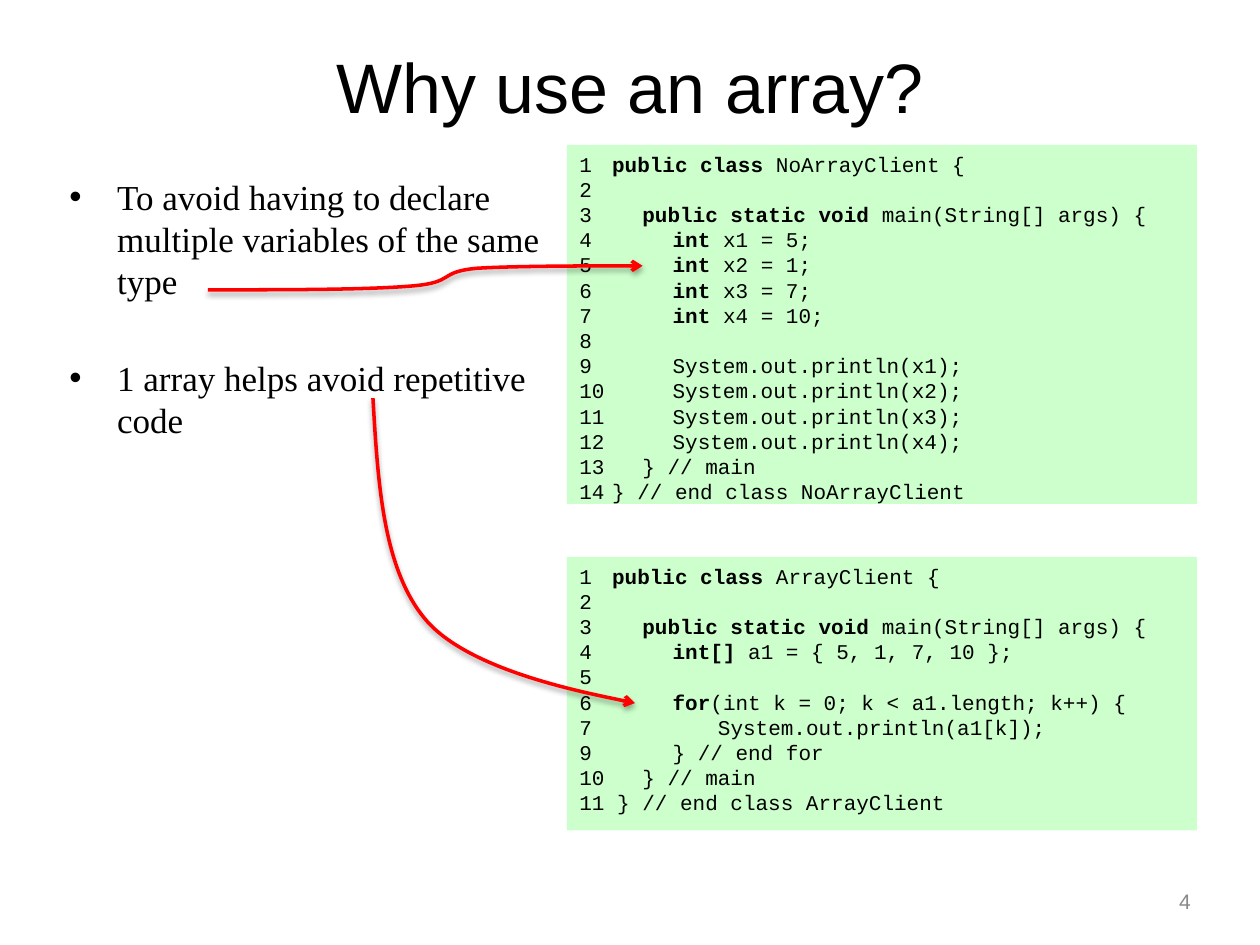
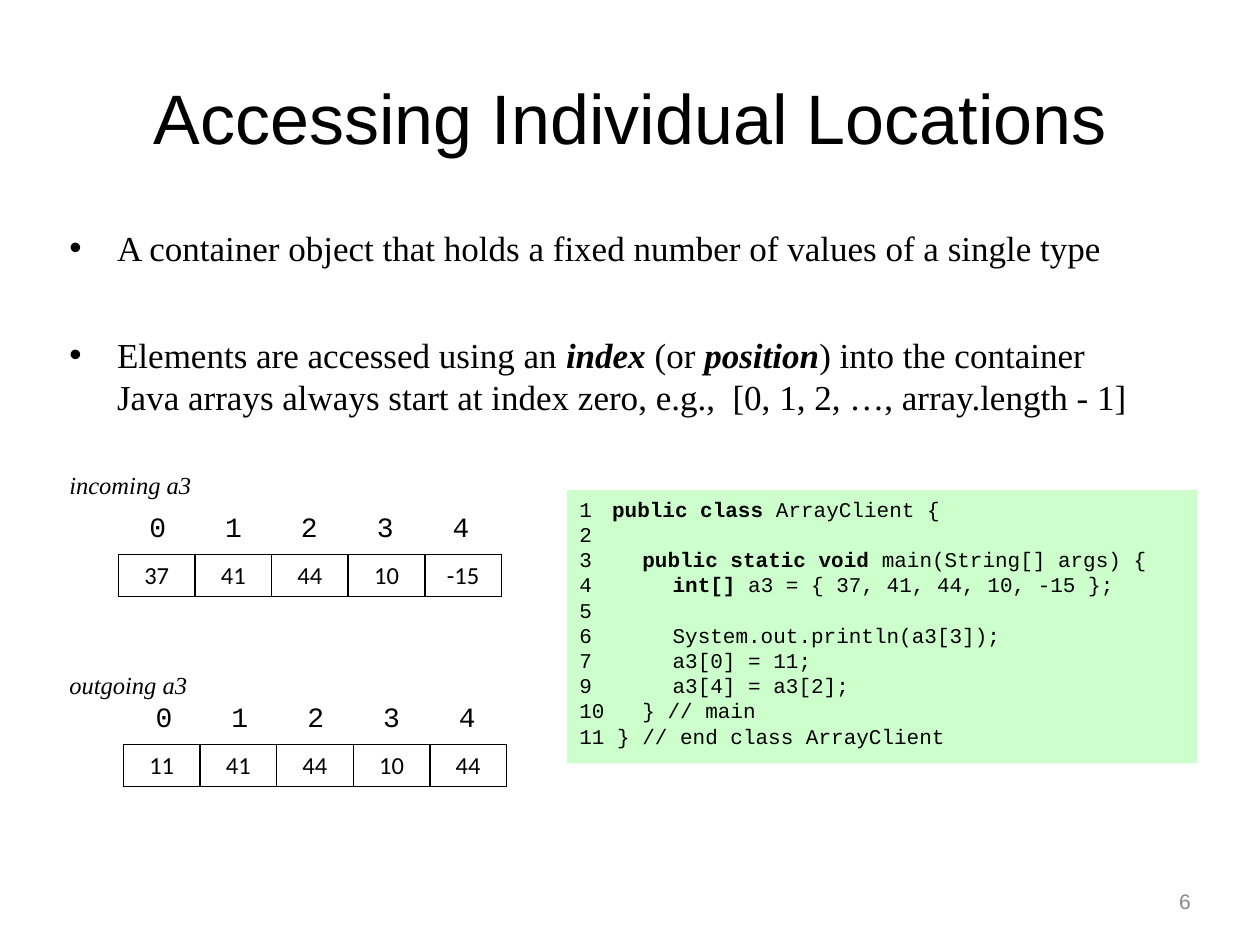
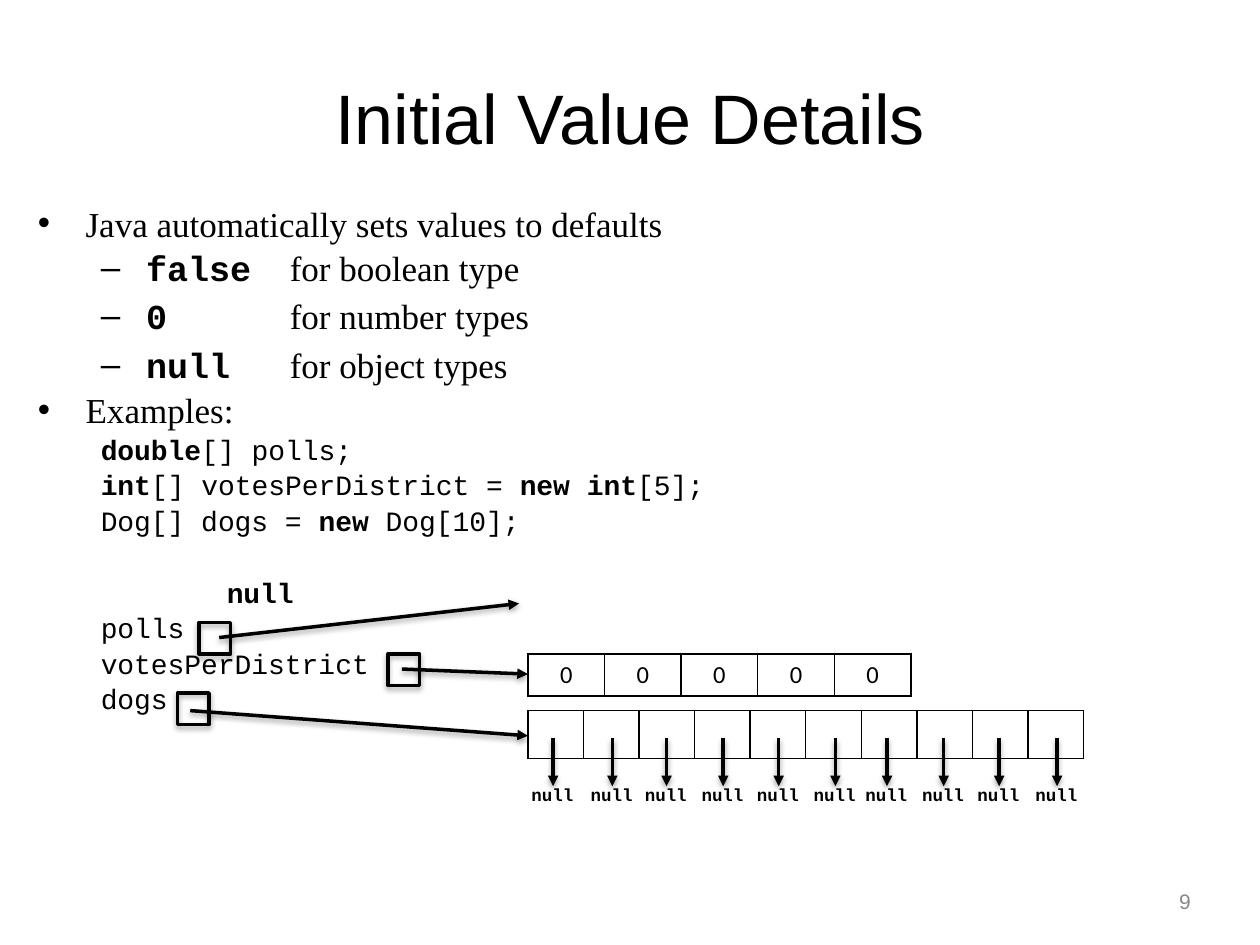
from dataclasses import dataclass

from pptx import Presentation
from pptx import util as u
from pptx.dml.color import RGBColor
from pptx.enum import shapes, text
from pptx.oxml import parse_xml
from pptx.oxml.ns import nsdecls, qn


@dataclass(frozen=True)
class Theme:
    ink: str = "000000"
    muted: str = "888888"
    code_fill: str = "CCFFCC"
    accent: str = "FF0000"
    sans: str = "Arial"
    serif: str = "Times New Roman"
    mono: str = "Courier New"
    cell: str = "Calibri"
    title_size: int = 40
    body_size: int = 20
    example_size: int = 16
    label_size: int = 14
    code_size: int = 12
    null_size: int = 10
    line_width: int = 2
    inset: float = 0.05


theme = Theme()


def append_xml(parent, tag, content="", **attributes):
    """Append a DrawingML element to parent and return it."""
    element = parse_xml(f'<a:{tag} {nsdecls("a")}>{content}</a:{tag}>')
    for name, value in attributes.items():
        element.set(name, str(value))
    parent.append(element)
    return element


def write_text(frame, content, size=theme.body_size, font=theme.serif, color=theme.ink,
               align=None, italic=False, emphasis=None, bullet=None,
               left=0, hanging=0, before=0, spacing=None, tabs=()):
    """Add one paragraph; *stars* mark bold runs, which also take the emphasis format."""
    paragraph = frame.paragraphs[0]
    if paragraph.runs:
        paragraph = frame.add_paragraph()
    paragraph.alignment = align or text.PP_ALIGN.LEFT
    if before:
        paragraph.space_before = u.Pt(before)
    if spacing:
        paragraph.line_spacing = spacing
    properties = paragraph._p.get_or_add_pPr()
    if left:
        properties.set("marL", str(u.Inches(left)))
        properties.set("indent", str(u.Inches(-hanging)))
    if bullet:
        append_xml(properties, "buFont", typeface=theme.sans)
        append_xml(properties, "buChar", char=bullet)
    if tabs:
        tab_list = append_xml(properties, "tabLst")
        for stop in tabs:
            append_xml(tab_list, "tab", pos=u.Inches(stop), algn="l")
    for row, line in enumerate(content.split("\n")):
        if row:
            paragraph.add_line_break()
        for position, piece in enumerate(line.split("*")):
            if not piece:
                continue
            run = paragraph.add_run()
            run.text = piece
            run.font.size = u.Pt(size)
            run.font.name = font
            run.font.color.rgb = RGBColor.from_string(color)
            run.font.bold = position % 2 == 1
            run.font.italic = italic
            if run.font.bold:
                for name, value in (emphasis or {}).items():
                    setattr(run.font, name, value)


presentation = Presentation()
presentation.slide_width = u.Inches(10)
presentation.slide_height = u.Inches(7.5)
blank_layout = presentation.slide_layouts[6]

shadow = ('<a:outerShdw blurRad="40000" dist="22000" dir="5400000" rotWithShape="0">'
          '<a:srgbClr val="000000"><a:alpha val="35000"/></a:srgbClr></a:outerShdw>')

# Slides with their titles, page numbers and body frames
slides = []
bodies = []
for title, title_top, title_height, number, body_area in [
    ("Why use an array?", 0.1, 1.15, "4", (0.5, 1.34, 4, 5.67)),
    ("Accessing Individual Locations", 0.3, 1.25, "6", (0.5, 1.75, 9, 4.95)),
    ("Initial Value Details", 0.3, 1.25, "9", (0.25, 1.62, 9.5, 4.32)),
]:
    slide = presentation.slides.add_slide(blank_layout)
    frames = []
    for area, anchor in [
        ((0.5, title_top, 9, title_height), text.MSO_ANCHOR.MIDDLE),
        (body_area, text.MSO_ANCHOR.TOP),
        ((7.17, 7.01, 2.33, 0.29), text.MSO_ANCHOR.MIDDLE),
    ]:
        frame = slide.shapes.add_textbox(*map(u.Inches, area)).text_frame
        frame.word_wrap = True
        frame.vertical_anchor = anchor
        frame.margin_left = frame.margin_right = u.Inches(theme.inset)
        frame.margin_top = frame.margin_bottom = u.Inches(theme.inset)
        frames.append(frame)
    write_text(frames[0], title, size=theme.title_size, font=theme.sans,
               align=text.PP_ALIGN.CENTER)
    write_text(frames[2], number, size=theme.code_size, font=theme.sans,
               color=theme.muted, align=text.PP_ALIGN.RIGHT)
    slides.append(slide)
    bodies.append(frames[1])
why_slide, access_slide, initial_slide = slides
why_body, access_body, initial_body = bodies

# Body text
bullet_format = dict(bullet="•", left=0.38, hanging=0.38)
write_text(why_body, "To avoid having to declare multiple variables of the same type",
           before=6.5, **bullet_format)
write_text(why_body, "1 array helps avoid repetitive code", before=31.5, **bullet_format)

write_text(access_body,
           "A container object that holds a fixed number of values of a single type",
           before=7, **bullet_format)
write_text(access_body,
           "Elements are accessed using an *index *(or *position*) into the container\n"
           "Java arrays always start at index zero, e.g.,  [0, 1, 2, …, array.length - 1]",
           before=37, emphasis={"italic": True}, **bullet_format)
for label, before in [("incoming a3", 30), ("outgoing a3", 97.5)]:
    write_text(access_body, label, size=theme.label_size, italic=True, before=before)

write_text(initial_body, "Java automatically sets values to defaults",
           before=6, spacing=0.8, **bullet_format)
for default, before in [("*false*\tfor boolean type", 6), ("*0*\t\tfor number types", 8.5),
                        ("*null*\tfor object types", 8.5)]:
    write_text(initial_body, default, before=before, spacing=0.8, bullet="–",
               left=0.86, hanging=0.36, emphasis={"name": theme.mono})
write_text(initial_body, "Examples:", before=6.5, spacing=0.8, **bullet_format)
for example, left, before in [
    ("*double*[] polls;", 0.5, 5),
    ("*int*[] votesPerDistrict = *new int*[5];", 0.5, 5),
    ("Dog[] dogs = *new* Dog[10];", 0.5, 5),
    ("*null*", 1.5, 25.5),
    ("polls", 0.5, 5),
    ("votesPerDistrict", 0.5, 5),
    ("dogs", 0.5, 5),
]:
    write_text(initial_body, example, size=theme.example_size, font=theme.mono,
               left=left, before=before, spacing=0.8)

# Code panels
main_line = "3\t\t*public static void* main(String[] args) {"
array_start = ["1\t*public class *ArrayClient {", "2", main_line]
array_end = ["10\t\t} // main", "11 } // end class ArrayClient"]
for slide, top, height, code in [
    (why_slide, 1.15, 2.85, [
        "1\t*public class *NoArrayClient {",
        "2",
        main_line,
        "4\t\t\t*int* x1 = 5;",
        "5\t\t\t*int* x2 = 1;",
        "6\t\t\t*int* x3 = 7;",
        "7\t\t\t*int* x4 = 10;",
        "8",
        "9\t\t\tSystem.out.println(x1);",
        "10\t\t\tSystem.out.println(x2);",
        "11\t\t\tSystem.out.println(x3);",
        "12\t\t\tSystem.out.println(x4);",
        "13\t\t} // main",
        "14\t} // end class NoArrayClient",
    ]),
    (why_slide, 4.42, 2.17, array_start + [
        "4\t\t\t*int[]* a1 = { 5, 1, 7, 10 };",
        "5",
        "6\t\t\t*for*(int k = 0; k < a1.length; k++) {",
        "7\t\t\t\t System.out.println(a1[k]);",
        "9\t\t\t} // end for",
    ] + array_end),
    (access_slide, 3.89, 2.17, array_start + [
        "4\t\t\t*int[]* a3 = { 37, 41, 44, 10, -15 };",
        "5",
        "6\t\t\tSystem.out.println(a3[3]);",
        "7\t\t\ta3[0] = 11;",
        "9\t\t\ta3[4] = a3[2];",
    ] + array_end),
]:
    panel = slide.shapes.add_shape(shapes.MSO_SHAPE.RECTANGLE, u.Inches(4.5), u.Inches(top),
                                   u.Inches(5), u.Inches(height))
    panel.shadow.inherit = False
    panel.fill.solid()
    panel.fill.fore_color.rgb = RGBColor.from_string(theme.code_fill)
    panel.line.fill.background()
    panel.text_frame.word_wrap = True
    panel.text_frame.vertical_anchor = text.MSO_ANCHOR.TOP
    for line in code:
        write_text(panel.text_frame, line, size=theme.code_size, font=theme.mono,
                   tabs=(0.26, 0.5, 0.74, 1, 1.24))

# Curved arrows from the reasons to the code: a start, then three points per curve
for points in [
    [(1.65, 2.3), (2.28, 2.3), (2.91, 2.3), (3.27, 2.27), (3.62, 2.24), (3.47, 2.16),
     (3.78, 2.13), (4.08, 2.11), (4.89, 2.11), (5.1, 2.11)],
    [(2.96, 3.16), (3, 3.84), (3.04, 4.52), (3.38, 4.92), (3.73, 5.33), (5.04, 5.58),
     (5.04, 5.58)],
]:
    corners = [(u.Inches(x), u.Inches(y)) for x, y in points]
    builder = why_slide.shapes.build_freeform(*corners[0])
    builder.add_line_segments(corners[1:], close=False)
    curve = builder.convert_to_shape()
    outline = next(curve.element.iter(qn("a:path")))
    segments = outline.findall(qn("a:lnTo"))
    for first in range(0, len(segments), 3):
        bezier = append_xml(outline, "cubicBezTo")
        for segment in segments[first:first + 3]:
            bezier.append(segment[0])
            outline.remove(segment)
    curve.fill.background()
    curve.line.color.rgb = RGBColor.from_string(theme.accent)
    curve.line.width = u.Pt(theme.line_width)
    append_xml(curve.element.spPr.get_or_add_ln(), "tailEnd", type="arrow")
    append_xml(curve.element.spPr, "effectLst", shadow)

# Array tables
indexes = ["0", "1", "2", "3", "4"]
value_format = dict(size=theme.label_size, font=theme.cell)
index_format = dict(size=theme.example_size, font=theme.mono)
border = f'<a:solidFill><a:srgbClr val="{theme.ink}"/></a:solidFill>'
no_border = "<a:noFill/>"
for slide, left, top, width, height, values, cell_format, edge in [
    (access_slide, 0.94, 4.4, 3.04, 0.32, ["37", "41", "44", "10", "-15"], value_format, border),
    (access_slide, 0.95, 4.03, 3.01, 0.44, indexes, index_format, no_border),
    (access_slide, 0.98, 5.91, 3.04, 0.32, ["11", "41", "44", "10", "44"], value_format, border),
    (access_slide, 1, 5.54, 3.01, 0.44, indexes, index_format, no_border),
    (initial_slide, 4.19, 5.19, 3.04, 0.32, ["0"] * 5, value_format, border),
    (initial_slide, 4.19, 5.64, 4.41, 0.32, [""] * 10, value_format, border),
]:
    table = slide.shapes.add_table(1, len(values), u.Inches(left), u.Inches(top),
                                   u.Inches(width), u.Inches(height)).table
    table.first_row = table.horz_banding = False
    for cell, value in zip(table.rows[0].cells, values):
        for side in ("lnL", "lnR", "lnT", "lnB"):
            append_xml(cell._tc.get_or_add_tcPr(), side, edge, w=u.Pt(1))
        cell.fill.background()
        if value:
            write_text(cell.text_frame, value, align=text.PP_ALIGN.CENTER, **cell_format)
        else:
            cell.margin_bottom = u.Inches(0.03)

# Reference boxes
for left, top in [(1.58, 4.94), (3.08, 5.19), (1.41, 5.5)]:
    box = initial_slide.shapes.add_shape(shapes.MSO_SHAPE.RECTANGLE, u.Inches(left),
                                         u.Inches(top), u.Inches(0.25), u.Inches(0.25))
    box.fill.background()
    box.line.color.rgb = RGBColor.from_string(theme.ink)
    box.line.width = u.Pt(theme.line_width)
    append_xml(box.element.spPr, "effectLst", shadow)

# Straight arrows: references first, then one null per dog
arrows = [(initial_slide.shapes, ends) for ends in [
    (1.74, 5.06, 4.12, 4.79),
    (3.19, 5.31, 4.19, 5.35),
    (1.51, 5.64, 4.19, 5.84),
]]
for x in (4.39, 4.86, 5.29, 5.74, 6.18, 6.63, 7.04, 7.49, 7.93, 8.39):
    group = initial_slide.shapes.add_group_shape()
    arrows.append((group.shapes, (x, 5.86, x, 6.24)))
    label = group.shapes.add_textbox(u.Inches(x - 0.27), u.Inches(6.17),
                                     u.Inches(0.54), u.Inches(0.27))
    label.text_frame.word_wrap = False
    write_text(label.text_frame, "*null*", size=theme.null_size, font=theme.mono)
for container, ends in arrows:
    arrow = container.add_connector(shapes.MSO_CONNECTOR.STRAIGHT, *map(u.Inches, ends))
    arrow.line.color.rgb = RGBColor.from_string(theme.ink)
    arrow.line.width = u.Pt(theme.line_width)
    append_xml(arrow.element.spPr.get_or_add_ln(), "tailEnd", type="triangle")
    append_xml(arrow.element.spPr, "effectLst", shadow)

presentation.save("out.pptx")
